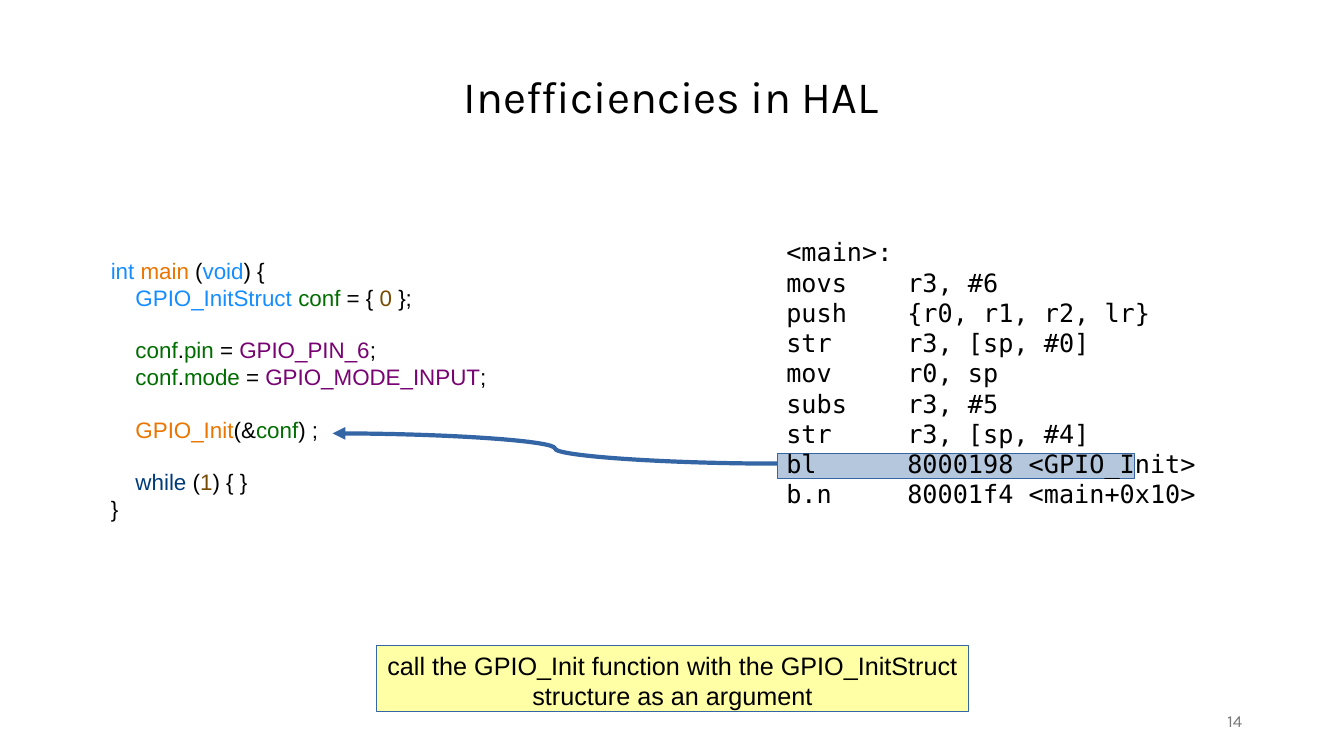
from lxml.etree import SubElement
from pptx import Presentation
from pptx.dml.color import RGBColor
from pptx.enum.shapes import MSO_CONNECTOR, MSO_SHAPE
from pptx.enum.text import MSO_ANCHOR, PP_ALIGN
from pptx.oxml.ns import qn
from pptx.util import Inches, Pt

BLACK = RGBColor(0x00, 0x00, 0x00)
GREY = RGBColor(0x78, 0x78, 0x78)
BLUE = RGBColor(0x34, 0x65, 0xA4)
PALE_BLUE = RGBColor(0xB4, 0xC7, 0xDC)
YELLOW = RGBColor(0xFF, 0xFF, 0xA6)
TYPE = RGBColor(0x16, 0x8D, 0xFF)
FUNCTION = RGBColor(0xEA, 0x75, 0x00)
VARIABLE = RGBColor(0x00, 0x6D, 0x00)
NUMBER = RGBColor(0x78, 0x4B, 0x04)
CONSTANT = RGBColor(0x78, 0x03, 0x73)
KEYWORD = RGBColor(0x00, 0x3B, 0x79)

TOKEN_COLORS = {
    "int": TYPE, "void": TYPE, "GPIO_InitStruct": TYPE,
    "main": FUNCTION, "GPIO_Init": FUNCTION,
    "conf": VARIABLE, "pin": VARIABLE, "mode": VARIABLE,
    "0": NUMBER, "1": NUMBER,
    "GPIO_PIN_6": CONSTANT, "GPIO_MODE_INPUT": CONSTANT,
    "while": KEYWORD,
}
CODE_GROUPS = [
    ["int |main| (|void|) {", "    GPIO_InitStruct |conf| = { |0| };"],
    ["    conf|.|pin| = |GPIO_PIN_6|;", "    conf|.|mode| = |GPIO_MODE_INPUT|;"],
    ["    GPIO_Init|(&|conf|) ;"],
    ["    while| (|1|) { }", "}"],
]
CODE_LINE = Pt(18.4)
ASSEMBLY = [
    "<main>:",
    "movs\tr3, #6",
    "push\t{r0, r1, r2, lr}",
    "str\tr3, [sp, #0]",
    "mov\tr0, sp",
    "subs\tr3, #5",
    "str\tr3, [sp, #4]",
    "bl\t8000198 <GPIO_Init>",
    "b.n\t80001f4 <main+0x10>",
]
CALLOUT = ("call the GPIO_Init function with the GPIO_InitStruct\n"
           "structure as an argument")


def style(font, name, size, color):
    """Set the typeface, size and colour of a font."""
    font.name = name
    font.size = Pt(size)
    font.color.rgb = color


def fill_text(shape, text, name, size, color=BLACK, align=PP_ALIGN.LEFT, anchor=MSO_ANCHOR.TOP):
    """Write text into a shape and format every run."""
    frame = shape.text_frame
    frame.word_wrap = True
    frame.vertical_anchor = anchor
    frame.text = text
    for para in frame.paragraphs:
        para.alignment = align
        for span in para.runs:
            style(span.font, name, size, color)
    return frame


def add_box(page, left, top, width, height):
    """Add an empty text box."""
    return page.shapes.add_textbox(Inches(left), Inches(top), Inches(width), Inches(height))


def add_panel(page, left, top, width, height, color):
    """Add a filled rectangle with a hairline outline."""
    panel = page.shapes.add_shape(
        MSO_SHAPE.RECTANGLE, Inches(left), Inches(top), Inches(width), Inches(height))
    panel.shadow.inherit = False
    panel.fill.solid()
    panel.fill.fore_color.rgb = color
    panel.line.color.rgb = BLUE
    panel.line.width = Pt(0)
    return panel


def add_code(page):
    """Add the C listing with coloured tokens."""
    frame = add_box(page, 1, 2.5, 5.25, 2.75).text_frame
    frame.word_wrap = True
    para = frame.paragraphs[0]
    for group_index, group in enumerate(CODE_GROUPS):
        for line_index, line in enumerate(group):
            if group_index or line_index:
                para = frame.add_paragraph()
            if group_index and not line_index:
                para.space_before = CODE_LINE
            for token in line.split("|"):
                span = para.add_run()
                span.text = token
                style(span.font, "Arial", 16, TOKEN_COLORS.get(token.strip(), BLACK))


def add_assembly(page):
    """Add the assembly listing with its operand column on a tab stop."""
    box = add_box(page, 7.7, 2.3, 4.75, 3.37)
    frame = fill_text(box, "\n".join(ASSEMBLY), "DejaVu Sans Mono", 18)
    for para in frame.paragraphs:
        tabs = SubElement(para._p.get_or_add_pPr(), qn("a:tabLst"))
        SubElement(tabs, qn("a:tab"), pos=str(Inches(1.2)), algn="l")


def add_arrow(page, start, end):
    """Add a curved arrow between two points."""
    arrow = page.shapes.add_connector(
        MSO_CONNECTOR.CURVE, *(Inches(length) for length in start + end))
    arrow.line.color.rgb = BLUE
    arrow.line.width = Pt(3)
    SubElement(arrow.line._get_or_add_ln(), qn("a:tailEnd"), type="triangle")
    SubElement(arrow._element.spPr, qn("a:effectLst"))


def main():
    """Build the slide and save the deck."""
    deck = Presentation()
    deck.slide_width, deck.slide_height = Inches(13.33), Inches(7.5)
    page = deck.slides.add_slide(deck.slide_layouts[6])

    callout = add_panel(page, 3.73, 6.4, 5.88, 0.66, YELLOW)
    fill_text(callout, CALLOUT, "Arial", 18, align=PP_ALIGN.CENTER)
    add_panel(page, 7.71, 4.5, 3.54, 0.25, PALE_BLUE)
    title = add_box(page, 2.11, 0.69, 9.1, 1.11)
    frame = fill_text(title, "Inefficiencies in HAL", "Karla", 32, align=PP_ALIGN.CENTER)
    frame.paragraphs[0].line_spacing = 0.9
    add_code(page)
    add_assembly(page)
    add_arrow(page, (7.71, 4.6), (3.3, 4.3))
    number = add_box(page, 9.42, 6.95, 3, 0.4)
    fill_text(number, "14", "Karla", 12, GREY, PP_ALIGN.RIGHT, MSO_ANCHOR.MIDDLE)

    deck.save("out.pptx")


if __name__ == "__main__":
    main()
